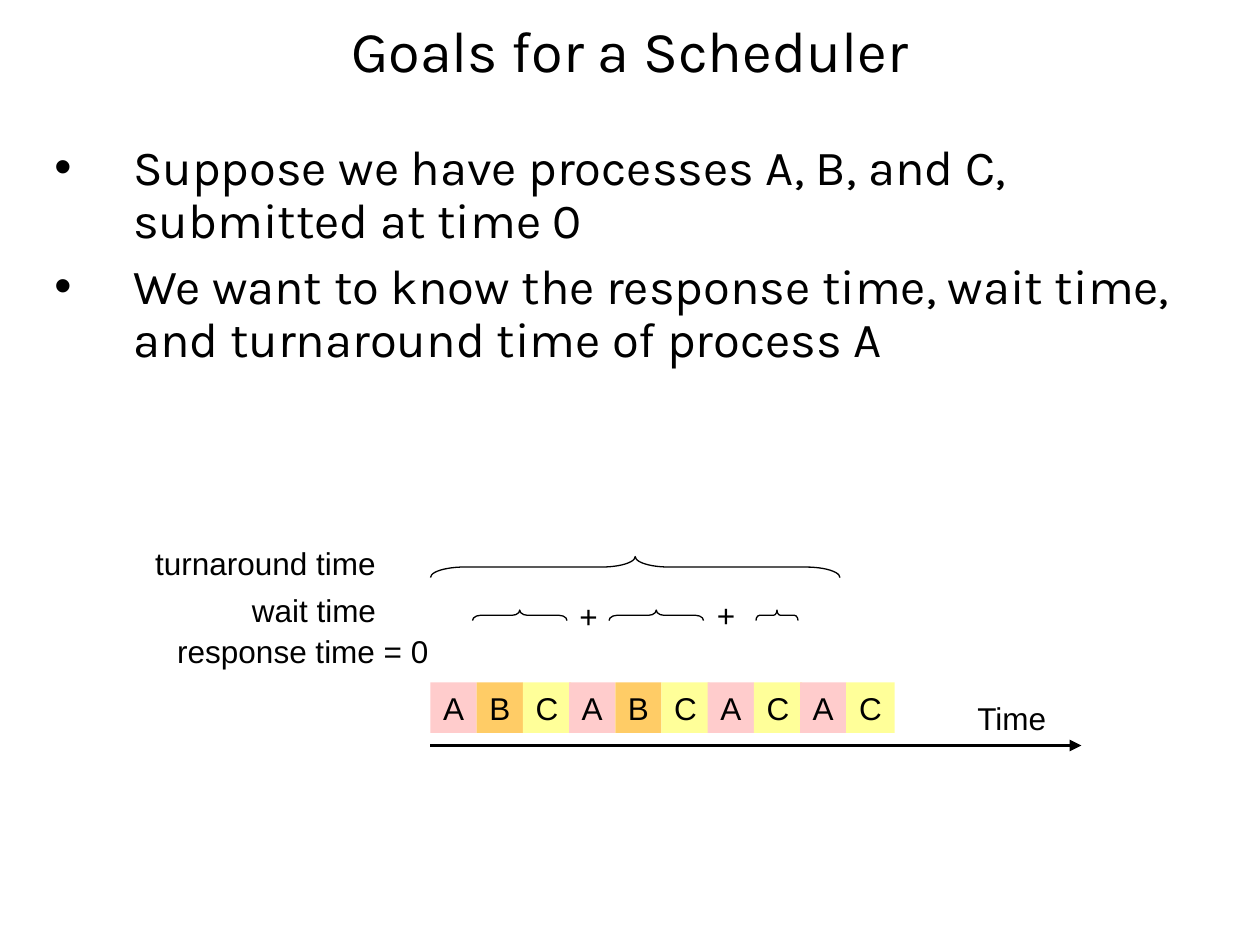
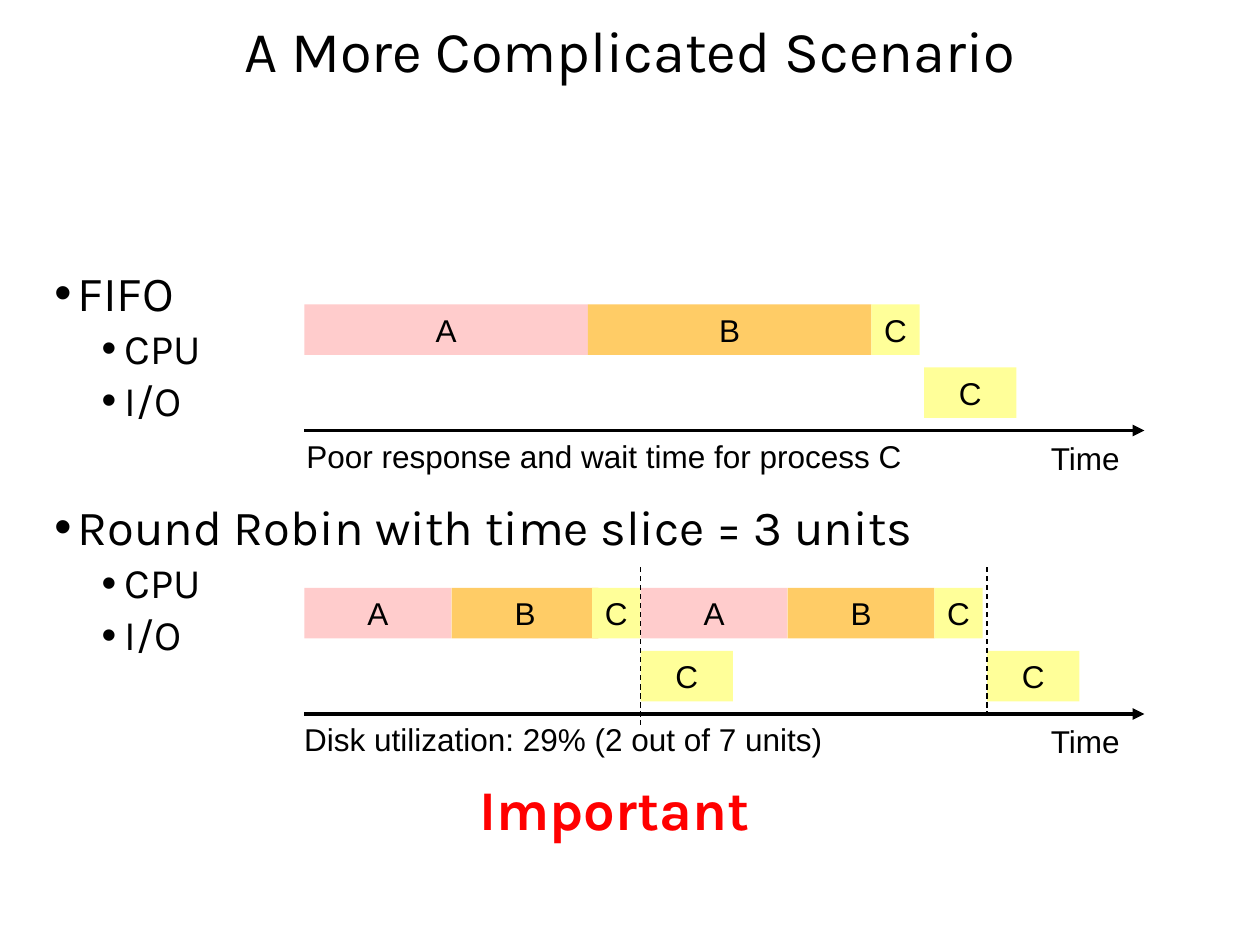
from dataclasses import dataclass
from typing import Any, NamedTuple

from lxml.etree import SubElement
from pptx import Presentation
from pptx.dml.color import RGBColor as Rgb
from pptx.enum.dml import MSO_LINE_DASH_STYLE as Dash
from pptx.enum.shapes import MSO_CONNECTOR as Connector, MSO_SHAPE as Shape
from pptx.enum.text import MSO_ANCHOR as Anchor, MSO_AUTO_SIZE as AutoSize, PP_ALIGN as Align
from pptx.oxml.ns import qn
from pptx.util import Pt

PX = 7620  # EMU; 120 px to the inch
BLOCK_HEIGHT = 48
SHORT_RUN = 46
IO_RUN = 88
AXIS_DROP = 120
IO_DROP = 60


@dataclass(frozen=True)
class Theme:
    heading_font: str = "Karla"
    label_font: str = "Arial"
    ink: str = "000000"
    alert: str = "FF0000"
    title_size: int = 33
    alert_size: int = 32
    label_size: int = 18
    body_sizes: tuple[int, int] = (28, 24)
    line_spacing: float = 0.9
    axis_width: float = 2.25
    thin_width: float = 0.75


class Rect(NamedTuple):
    left: int
    top: int
    width: int
    height: int = BLOCK_HEIGHT


class Bullet(NamedTuple):
    text: str
    level: int = 0
    space_before: float = 7.5


class Block(NamedTuple):
    process: str
    left: int
    width: int


class Label(NamedTuple):
    text: str
    left: int
    top: int
    width: int


class Brace(NamedTuple):
    left: int
    top: int
    length: int
    depth: int


class Segment(NamedTuple):
    left: int
    top: int
    right: int
    bottom: int


THEME = Theme()
PROCESS_FILLS = {"A": "FFCCCC", "B": "FFCC66", "C": "FFFF99"}
TITLE_RECT = Rect(40, 0, 1120, 102)


def emu(lengths: tuple[int, ...]) -> list[int]:
    return [length * PX for length in lengths]


def apply(target: Any, values: dict[str, Any]) -> None:
    for name, value in values.items():
        setattr(target, name, value)


def write(para: Any, text: str, font: str, size: int, color: str = THEME.ink,
          bold: bool = False) -> None:
    span = para.add_run()
    span.text = text
    apply(span.font, {"name": font, "size": Pt(size), "bold": bold})
    span.font.color.rgb = Rgb.from_string(color)


def add_titled_page(deck: Any, title: str) -> Any:
    page = deck.slides.add_slide(deck.slide_layouts[5])
    holder = page.shapes.title
    apply(holder, dict(zip(("left", "top", "width", "height"), emu(TITLE_RECT))))
    apply(holder.text_frame, {"vertical_anchor": Anchor.MIDDLE, "word_wrap": True,
                              "auto_size": AutoSize.NONE})
    para = holder.text_frame.paragraphs[0]
    apply(para, {"alignment": Align.CENTER, "line_spacing": THEME.line_spacing})
    write(para, title, THEME.heading_font, THEME.title_size)
    return page


def set_bullet(para: Any, margin: int, hanging: int) -> None:
    props = para._p.get_or_add_pPr()
    props.set("marL", str(margin * PX))
    props.set("indent", str(-hanging * PX))
    color = SubElement(props, qn("a:buClr"))
    SubElement(color, qn("a:srgbClr"), val=THEME.ink)
    SubElement(props, qn("a:buFont"), typeface=THEME.label_font)
    SubElement(props, qn("a:buChar"), char="•")


def add_bullets(page: Any, rect: Rect, bullets: list[Bullet], hanging: int) -> None:
    frame = page.shapes.add_textbox(*emu(rect)).text_frame
    frame.word_wrap = True
    for index, bullet in enumerate(bullets):
        para = frame.add_paragraph() if index else frame.paragraphs[0]
        set_bullet(para, hanging + 45 * bullet.level, hanging)
        apply(para, {"level": bullet.level, "line_spacing": THEME.line_spacing,
                     "space_before": Pt(bullet.space_before if index else 0)})
        write(para, bullet.text, THEME.heading_font, THEME.body_sizes[bullet.level])


def add_label(page: Any, label: Label) -> None:
    rect = Rect(label.left, label.top, label.width)
    frame = page.shapes.add_textbox(*emu(rect)).text_frame
    apply(frame, {"word_wrap": True, "auto_size": AutoSize.NONE})
    write(frame.paragraphs[0], label.text, THEME.label_font, THEME.label_size)


def add_blocks(page: Any, top: int, blocks: list[Block]) -> None:
    for block in blocks:
        rect = Rect(block.left, top, block.width)
        box = page.shapes.add_shape(Shape.RECTANGLE, *emu(rect))
        box.shadow.inherit = False
        box.fill.solid()
        box.fill.fore_color.rgb = Rgb.from_string(PROCESS_FILLS[block.process])
        box.line.fill.background()
        apply(box.text_frame, {"word_wrap": False, "vertical_anchor": Anchor.TOP})
        para = box.text_frame.paragraphs[0]
        para.alignment = Align.CENTER
        write(para, block.process, THEME.label_font, THEME.label_size)


def add_line(page: Any, segment: Segment, width: float) -> Any:
    line = page.shapes.add_connector(Connector.STRAIGHT, *emu(segment))
    line.line.color.rgb = Rgb.from_string(THEME.ink)
    line.line.width = Pt(width)
    SubElement(line._element.spPr, qn("a:effectLst"))
    return line


def add_time_axis(page: Any, left: int, right: int, top: int, label: Label) -> None:
    axis = add_line(page, Segment(left, top, right, top), THEME.axis_width)
    SubElement(axis.line._get_or_add_ln(), qn("a:tailEnd"), type="triangle")
    add_label(page, label)


def add_divider(page: Any, left: int, top: int, bottom: int) -> None:
    divider = add_line(page, Segment(left, top, left, bottom), THEME.thin_width)
    divider.line.dash_style = Dash.DASH


def add_brace(page: Any, brace: Brace) -> None:
    """Turn a right brace a quarter left, so its point faces up."""
    shift = (brace.length - brace.depth) // 2
    rect = Rect(brace.left + shift, brace.top - shift, brace.depth, brace.length)
    shape = page.shapes.add_shape(Shape.RIGHT_BRACE, *emu(rect))
    shape.rotation = 270
    shape.adjustments[0] = brace.length / (12 * brace.depth)
    shape.shadow.inherit = False
    shape.fill.background()
    shape.line.color.rgb = Rgb.from_string(THEME.ink)
    shape.line.width = Pt(THEME.thin_width)


def build_goals(deck: Any) -> None:
    page = add_titled_page(deck, "Goals for a Scheduler")
    add_bullets(page, Rect(40, 130, 1120, 680), [
        Bullet("Suppose we have processes A, B, and C, submitted at time 0"),
        Bullet("We want to know the response time, wait time, and turnaround time of process A"),
    ], hanging=75)
    start, slot = 410, 44
    add_blocks(page, 650, [
        Block(process, start + slot * index, SHORT_RUN if process == "C" else slot)
        for index, process in enumerate("ABCABCACAC")
    ])
    add_time_axis(page, start, 1030, 710, Label("Time", 919, 660, 100))
    for label in (
        Label("response time = 0", 157, 596, 275),
        Label("wait time", 228, 557, 155),
        Label("turnaround time", 136, 512, 245),
        Label("+", 540, 563, 45),
        Label("+", 671, 562, 45),
    ):
        add_label(page, label)
    for brace in (
        Brace(start, 530, 390, 20),
        Brace(450, 581, 90, 10),
        Brace(580, 581, 90, 10),
        Brace(720, 581, 40, 10),
    ):
        add_brace(page, brace)


def add_schedule(page: Any, top: int, cpu: list[Block], io_starts: list[int],
                 caption: Label) -> None:
    """Draw the CPU row, the I/O row below it, and the captioned time axis."""
    add_blocks(page, top, cpu)
    add_blocks(page, top + IO_DROP, [Block("C", left, IO_RUN) for left in io_starts])
    axis_top = top + AXIS_DROP
    add_time_axis(page, 290, 1090, axis_top, Label("Time", 989, axis_top + 2, 100))
    add_label(page, caption)


def build_scenario(deck: Any) -> None:
    page = add_titled_page(deck, "A More Complicated Scenario")
    devices = [Bullet(name, 1, 3.7) for name in ("CPU", "I/O")]
    add_bullets(page, Rect(40, 250, 1120, 560), [
        Bullet("FIFO"), *devices,
        Bullet("Round Robin with time slice = 3 units", space_before=44.5), *devices,
    ], hanging=22)
    add_schedule(page, 290, [
        Block("A", 290, 270), Block("B", 560, 270), Block("C", 830, SHORT_RUN),
    ], [880], Label("Poor response and wait time for process C", 280, 410, 620))
    add_schedule(page, 560, [
        Block("A", 290, 140), Block("B", 430, 140), Block("C", 564, SHORT_RUN),
        Block("A", 610, 140), Block("B", 750, 140), Block("C", 890, SHORT_RUN),
    ], [610, 940], Label("Disk utilization: 29% (2 out of 7 units)", 278, 680, 550))
    add_divider(page, 610, 540, 690)
    add_divider(page, 940, 540, 680)
    frame = page.shapes.add_textbox(*emu(Rect(445, 732, 310, 77))).text_frame
    frame.word_wrap = True
    write(frame.paragraphs[0], "Important", THEME.heading_font, THEME.alert_size,
          THEME.alert, bold=True)


def main() -> None:
    deck = Presentation()
    apply(deck, {"slide_width": 1200 * PX, "slide_height": 900 * PX})
    build_goals(deck)
    build_scenario(deck)
    deck.save("out.pptx")


if __name__ == "__main__":
    main()
